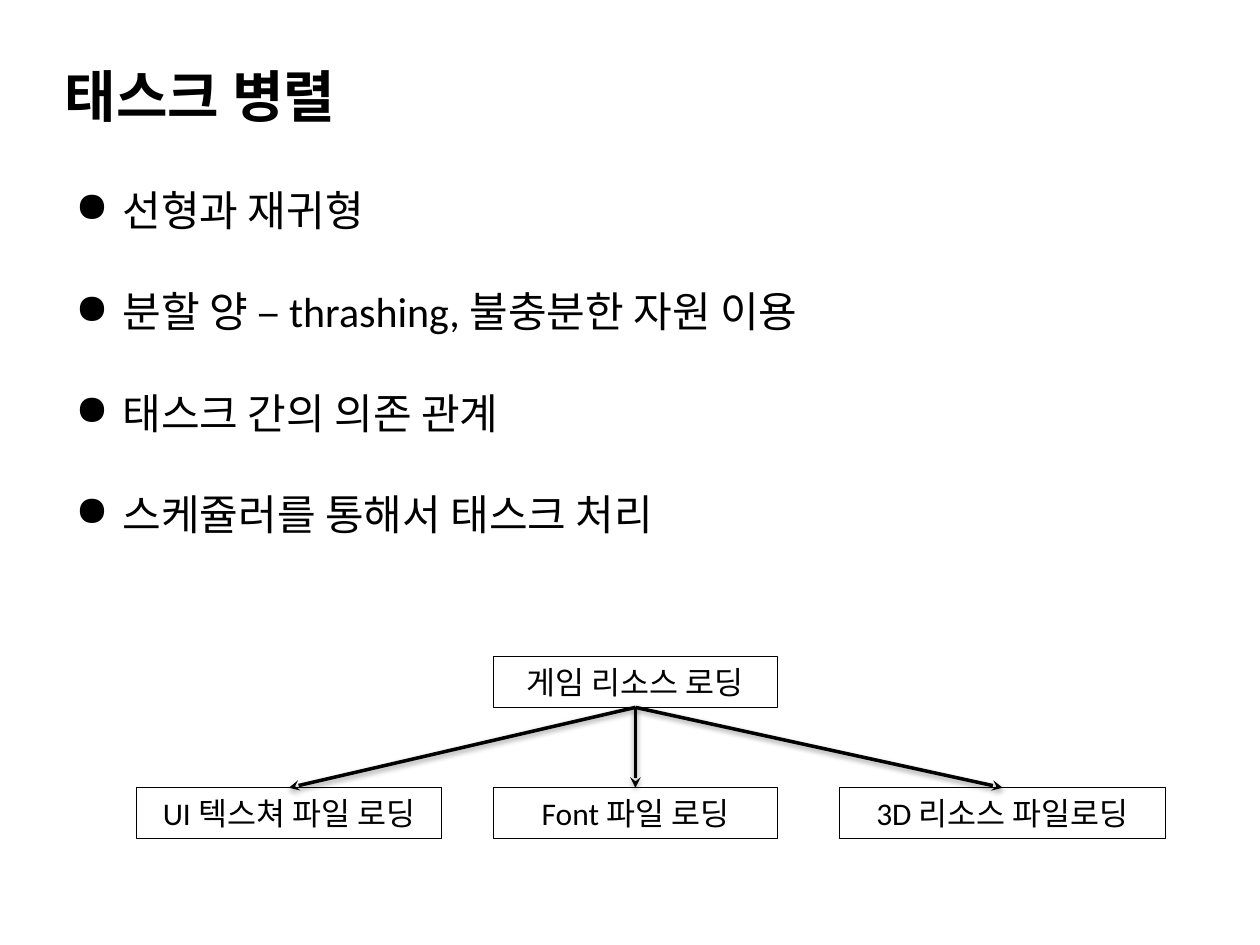
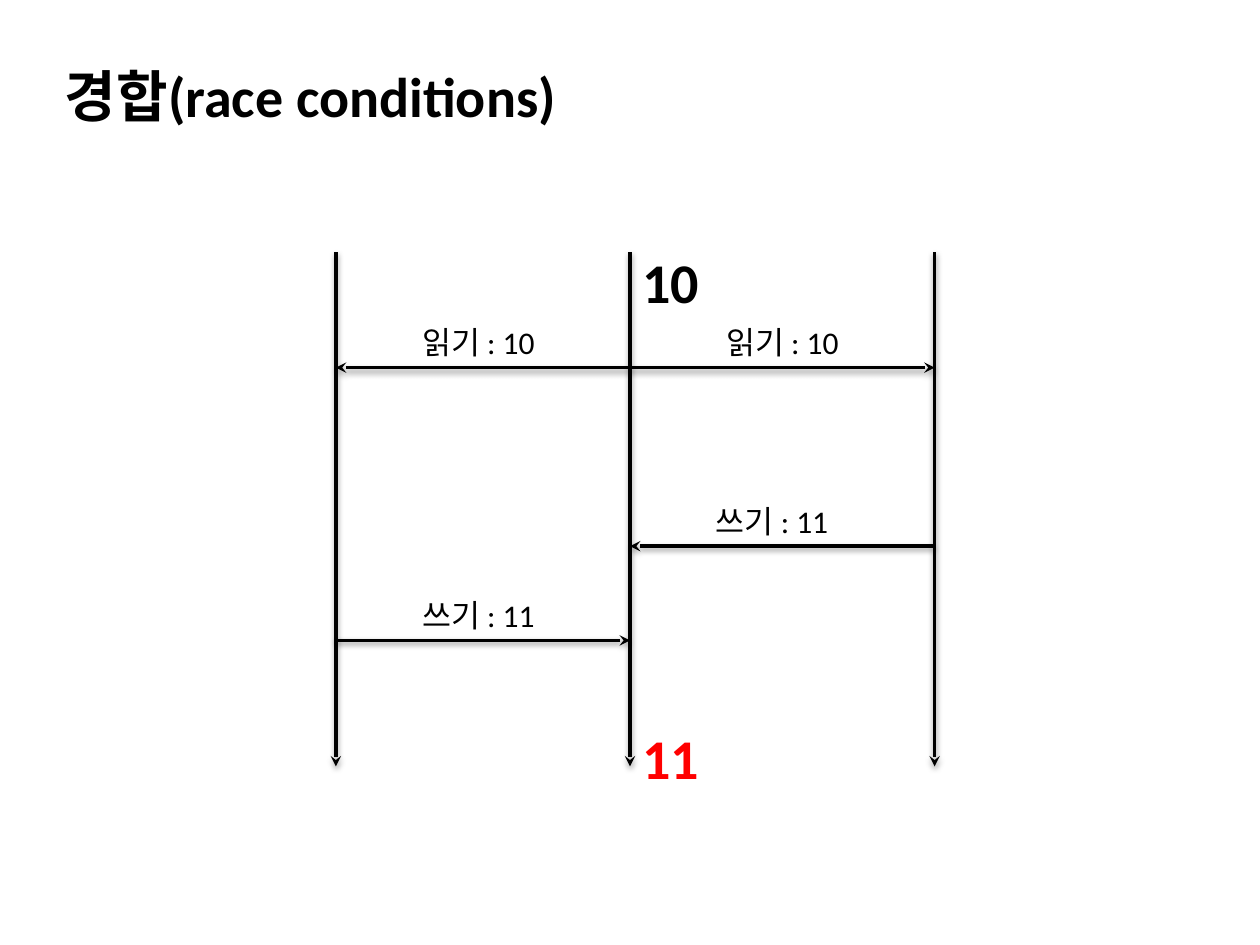
from lxml import etree
from pptx import Presentation
from pptx import util as u
from pptx.dml.color import RGBColor
from pptx.enum import shapes, text
from pptx.oxml import parse_xml
from pptx.oxml.ns import nsdecls, qn

COLORS = {"ink": "000000", "paper": "FFFFFF", "alert": "FF0000"}
FONT = "Calibri"
BOX_HEIGHT = 1.02
SHADOW = (
    f'<a:effectLst {nsdecls("a")}><a:outerShdw blurRad="40000" dist="20000" dir="5400000" '
    f'rotWithShape="0"><a:srgbClr val="{COLORS["ink"]}"><a:alpha val="38000"/></a:srgbClr>'
    "</a:outerShdw></a:effectLst>"
)


def rgb(name):
    """Return the named colour."""
    return RGBColor.from_string(COLORS[name])


def style(paragraph, size, bold=False, color="ink"):
    """Set the font of a whole paragraph."""
    font = paragraph.font
    font.name, font.size, font.bold = FONT, u.Pt(size), bold
    font.color.rgb = rgb(color)


def add_label(slide, wording, left, top, width, height, size=18, bold=False, color="ink"):
    """Add one line of left-aligned text."""
    frame = slide.shapes.add_textbox(u.Cm(left), u.Cm(top), u.Cm(width), u.Cm(height)).text_frame
    frame.word_wrap = True
    frame.text = wording
    style(frame.paragraphs[0], size, bold, color)


def add_titled_slide(deck, title):
    """Add a blank slide with the shared background and title style."""
    slide = deck.slides.add_slide(deck.slide_layouts[6])
    slide.background.fill.solid()
    slide.background.fill.fore_color.rgb = rgb("paper")
    add_label(slide, title, 1.06, 1.12, 22.65, 1.63, size=32, bold=True)
    return slide


def add_bullets(slide, points, left, top, width, height):
    """Add a bulleted list with a line's gap between points."""
    frame = slide.shapes.add_textbox(u.Cm(left), u.Cm(top), u.Cm(width), u.Cm(height)).text_frame
    frame.word_wrap = True
    frame.text = "\n".join(points)
    indent = u.Cm(0.95)
    for paragraph in frame.paragraphs:
        properties = paragraph._p.get_or_add_pPr()
        properties.set("marL", str(indent))
        properties.set("indent", str(-indent))
        bullet_color = etree.SubElement(properties, qn("a:buClr"))
        etree.SubElement(bullet_color, qn("a:srgbClr"), val=COLORS["ink"])
        etree.SubElement(properties, qn("a:buChar"), char="●")
        style(paragraph, 24)
    for paragraph in frame.paragraphs[1:]:
        paragraph.space_before = u.Pt(29)


def add_task(slide, wording, left, top, width):
    """Add an outlined task box and return its centre in centimetres."""
    task = slide.shapes.add_shape(
        shapes.MSO_SHAPE.RECTANGLE, u.Cm(left), u.Cm(top), u.Cm(width), u.Cm(BOX_HEIGHT))
    task.shadow.inherit = False
    task.fill.background()
    task.line.color.rgb = rgb("ink")
    task.line.width = u.Pt(0.75)
    frame = task.text_frame
    frame.word_wrap = True
    frame.text = wording
    frame.paragraphs[0].alignment = text.PP_ALIGN.CENTER
    style(frame.paragraphs[0], 18)
    return left + width / 2


def add_arrow(slide, start, end, both_ends=False):
    """Add a shadowed line with a stealth arrowhead at its end, or at both."""
    arrow = slide.shapes.add_connector(
        shapes.MSO_CONNECTOR.STRAIGHT, *(u.Cm(value) for value in (*start, *end)))
    arrow.line.color.rgb = rgb("ink")
    arrow.line.width = u.Pt(2)
    properties = arrow._element.spPr
    outline = properties.find(qn("a:ln"))
    for tip in ("a:headEnd", "a:tailEnd") if both_ends else ("a:tailEnd",):
        etree.SubElement(outline, qn(tip), type="stealth")
    properties.append(parse_xml(SHADOW))


def build_task_parallelism(deck):
    """Build the slide on tasks that split into subtasks."""
    slide = add_titled_slide(deck, "태스크 병렬")
    points = ["선형과 재귀형", "분할 양 – thrashing, 불충분한 자원 이용",
              "태스크 간의 의존 관계", "스케쥴러를 통해서 태스크 처리"]
    add_bullets(slide, points, 1.27, 3.6, 22.86, 7.45)

    root_top, subtask_top = 13.24, 15.88
    root_center = add_task(slide, "게임 리소스 로딩", 9.95, root_top, 5.72)
    subtasks = [("UI 텍스쳐 파일 로딩", 2.75, 6.15),
                ("Font 파일 로딩", 9.95, 5.72),
                ("3D 리소스 파일로딩", 16.93, 6.56)]
    centers = [add_task(slide, wording, left, subtask_top, width)
               for wording, left, width in subtasks]
    for center in centers:
        add_arrow(slide, (root_center, root_top + BOX_HEIGHT), (center, subtask_top))


def build_race_conditions(deck):
    """Build the slide with two threads racing on a shared value."""
    slide = add_titled_slide(deck, "경합(race conditions)")
    lanes = first_thread, shared_value, second_thread = 6.77, 12.7, 18.84
    for lane in lanes:
        add_arrow(slide, (lane, 5.08), (lane, 15.45))

    read, second_write, first_write = 7.41, 11.01, 12.91
    add_arrow(slide, (first_thread, read), (second_thread, read), both_ends=True)
    add_arrow(slide, (second_thread, second_write), (shared_value, second_write))
    add_arrow(slide, (first_thread, first_write), (shared_value, first_write))

    steps = [("읽기 : 10", 8.26, read), ("읽기 : 10", 14.39, read),
             ("쓰기 : 11", 14.18, second_write), ("쓰기 : 11", 8.26, first_write)]
    for wording, left, line in steps:
        add_label(slide, wording, left, line - BOX_HEIGHT, 3.81, BOX_HEIGHT)
    for value, top, color in (("10", 4.87, "ink"), ("11", 14.46, "alert")):
        add_label(slide, value, shared_value, top, 1.9, 1.63, size=32, bold=True, color=color)


def main():
    """Build and save the deck."""
    deck = Presentation()
    deck.slide_width, deck.slide_height = u.Cm(25.4), u.Cm(19.05)
    build_task_parallelism(deck)
    build_race_conditions(deck)
    deck.save("out.pptx")


if __name__ == "__main__":
    main()
